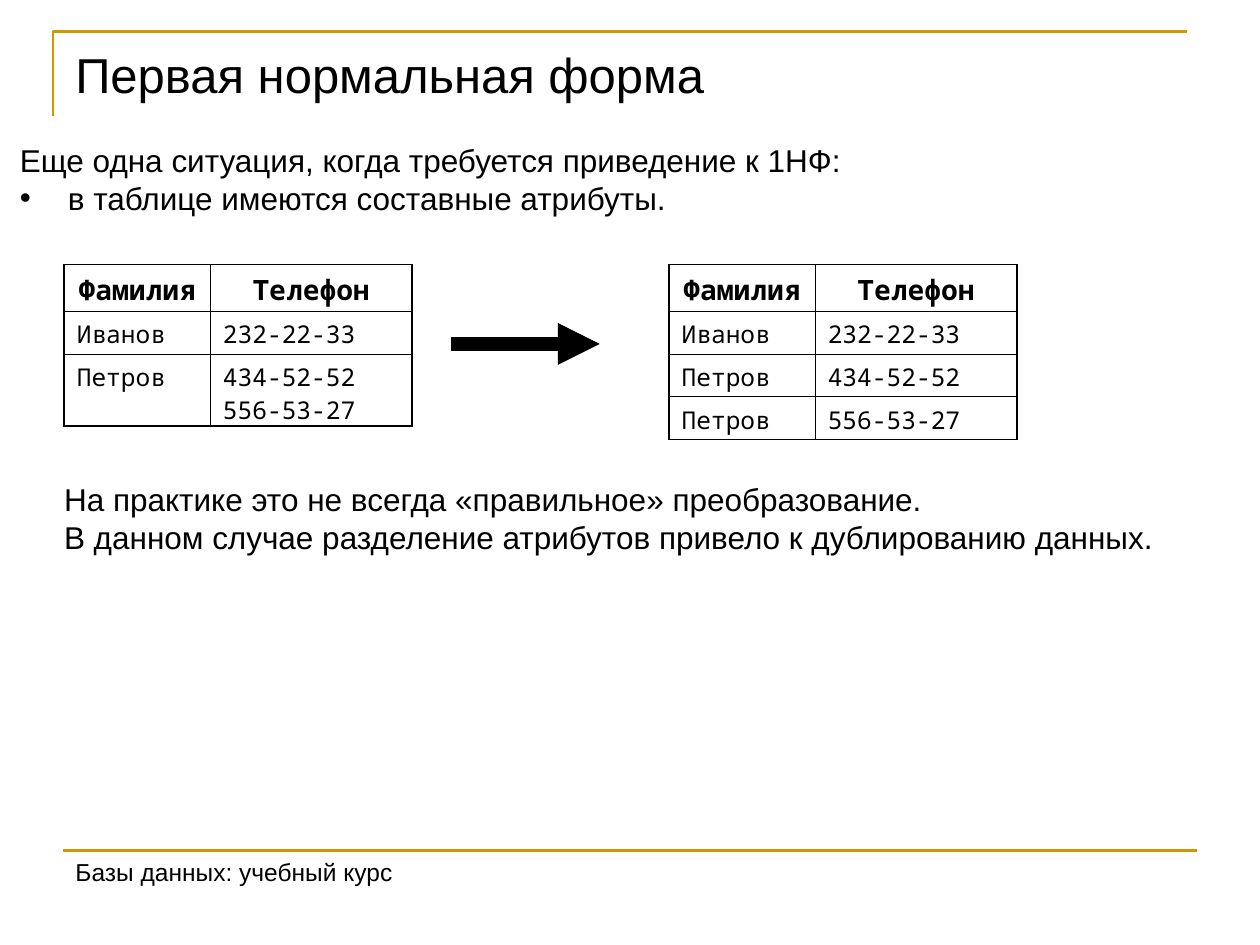
from copy import deepcopy

from lxml.etree import SubElement
from pptx import Presentation
from pptx.dml.color import RGBColor
from pptx.enum.shapes import MSO_CONNECTOR
from pptx.enum.text import MSO_ANCHOR, PP_ALIGN
from pptx.oxml.ns import qn
from pptx.util import Inches, Pt

BLACK = "000000"
GOLD = "CC9900"
THICK, THIN = 1.08, 0.45


def color(hex_string):
    return RGBColor.from_string(hex_string)


def write(paragraph, text, size=18, font="Arial", bold=False, align=PP_ALIGN.LEFT,
          space_before=0, hanging=0, bullet=None):
    """Fill a paragraph; a newline in the text becomes a line break."""
    paragraph.text = text
    paragraph.alignment = align
    if space_before:
        paragraph.space_before = Pt(space_before)
    properties = paragraph._p.get_or_add_pPr()
    if hanging:
        properties.set("marL", str(Inches(hanging)))
        properties.set("indent", str(-Inches(hanging)))
    if bullet:
        SubElement(properties, qn("a:buFont"), typeface="Arial")
        SubElement(properties, qn("a:buChar"), char=bullet)
    for run in paragraph.runs:
        run.font.size = Pt(size)
        run.font.name = font
        run.font.bold = bold
        run.font.color.rgb = color(BLACK)
    for line_break in paragraph._p.findall(qn("a:br")):
        line_break.append(deepcopy(paragraph.runs[0]._r.rPr))


class SlideBuilder:
    heading = {"size": 16, "font": "Noto Sans Mono", "bold": True,
               "align": PP_ALIGN.CENTER, "space_before": 4}
    body = {"size": 14, "font": "Noto Sans Mono", "space_before": 3.5}

    def __init__(self, presentation):
        self.slide = presentation.slides.add_slide(presentation.slide_layouts[6])

    def text(self, left, top, width, height, paragraphs, wrap=False):
        box = self.slide.shapes.add_textbox(
            Inches(left), Inches(top), Inches(width), Inches(height))
        frame = box.text_frame
        frame.word_wrap = wrap
        frame.vertical_anchor = MSO_ANCHOR.TOP
        for index, (content, style) in enumerate(paragraphs):
            paragraph = frame.add_paragraph() if index else frame.paragraphs[0]
            write(paragraph, content, **style)

    def line(self, start, end, line_color, width, arrow=False):
        connector = self.slide.shapes.add_connector(
            MSO_CONNECTOR.STRAIGHT, *(Inches(value) for value in (*start, *end)))
        connector.line.color.rgb = color(line_color)
        connector.line.width = Pt(width)
        if arrow:
            SubElement(connector.line._get_or_add_ln(), qn("a:tailEnd"), type="triangle")
        SubElement(connector._element.spPr, qn("a:effectLst"))

    def outline(self, points, line_color, width):
        (left, top), *others = [(Inches(x), Inches(y)) for x, y in points]
        builder = self.slide.shapes.build_freeform(left, top)
        builder.add_line_segments(others, close=False)
        shape = builder.convert_to_shape()
        shape.shadow.inherit = False
        shape.fill.background()
        shape.line.color.rgb = color(line_color)
        shape.line.width = Pt(width)

    def table(self, left, top, widths, heights, rows):
        frame = self.slide.shapes.add_table(
            len(rows), len(widths), Inches(left), Inches(top),
            Inches(sum(widths)), Inches(sum(heights)))
        table = frame.table
        table.first_row = table.horz_banding = False
        for column, width in zip(table.columns, widths):
            column.width = Inches(width)
        last_row, last_column = len(rows) - 1, len(widths) - 1
        for row_index, (height, values) in enumerate(zip(heights, rows)):
            table.rows[row_index].height = Inches(height)
            for column_index, value in enumerate(values):
                cell = table.cell(row_index, column_index)
                style = self.body if row_index else self.heading
                write(cell.text_frame.paragraphs[0], value, **style)
                cell.fill.background()
                self.borders(cell, {
                    "a:lnL": column_index == 0, "a:lnR": column_index == last_column,
                    "a:lnT": row_index == 0, "a:lnB": row_index == last_row})

    def borders(self, cell, outer_sides):
        properties = cell._tc.get_or_add_tcPr()
        for position, (side, is_outer) in enumerate(outer_sides.items()):
            width = Pt(THICK if is_outer else THIN)
            border = SubElement(properties, qn(side), w=str(width))
            fill = SubElement(border, qn("a:solidFill"))
            SubElement(fill, qn("a:srgbClr"), val=BLACK)
            properties.insert(position, border)


def main():
    presentation = Presentation()
    presentation.slide_width = Inches(10)
    presentation.slide_height = Inches(7.5)
    builder = SlideBuilder(presentation)

    # Frame lines
    builder.outline([(0.42, 0.92), (0.42, 0.25), (9.42, 0.25)], GOLD, 1.5)
    builder.line((0.5, 6.75), (9.5, 6.75), GOLD, 1.5)

    # Title and footer
    builder.text(0.5, 0.3, 9, 0.69, [("Первая нормальная форма", {"size": 28})], wrap=True)
    builder.text(0.5, 6.75, 2.72, 0.34, [("Базы данных: учебный курс", {"size": 14})])

    # Introduction
    builder.text(0.06, 1.07, 7.51, 0.7, [
        ("Еще одна ситуация, когда требуется приведение к 1НФ:", {"hanging": 0.38}),
        ("в таблице имеются составные атрибуты.", {"hanging": 0.38, "bullet": "•"})])

    # Tables before and after normalisation
    header, ivanov = ("Фамилия", "Телефон"), ("Иванов", "232-22-33")
    phones = ["434-52-52", "556-53-27"]
    widths = [1.16, 1.6]
    builder.table(0.51, 2.1, widths, [0.37, 0.34, 0.57],
                  [header, ivanov, ("Петров", "\n".join(phones))])
    builder.table(5.31, 2.1, widths, [0.37] + [0.34] * 3,
                  [header, ivanov] + [("Петров", phone) for phone in phones])
    builder.line((3.58, 2.73), (4.76, 2.73), BLACK, 8, arrow=True)

    # Conclusion
    builder.text(0.41, 3.76, 8.89, 0.7, [
        ("На практике это не всегда «правильное» преобразование.\n"
         "В данном случае разделение атрибутов привело к дублированию данных.", {})])

    presentation.save("out.pptx")


if __name__ == "__main__":
    main()
